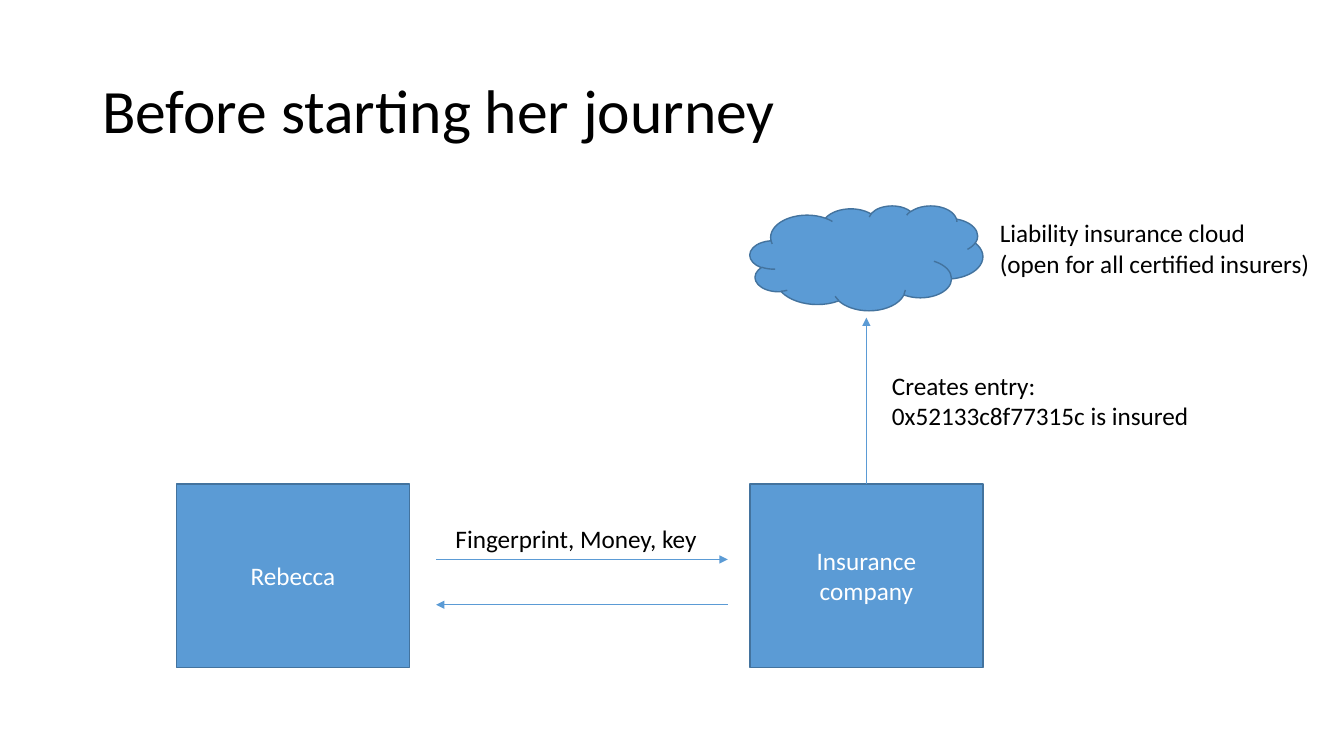
from lxml import etree
from pptx import Presentation
from pptx import util as u
from pptx.dml.color import RGBColor
from pptx.enum import shapes, text
from pptx.oxml.ns import qn

BLUE = RGBColor(0x5B, 0x9B, 0xD5)
OUTLINE = RGBColor(0x43, 0x73, 0x9E)
BLACK = RGBColor(0, 0, 0)
WHITE = RGBColor(0xFF, 0xFF, 0xFF)
FONT = "Calibri"
WIDTH, HEIGHT = u.Inches(13.333), u.Inches(7.5)

# Places and sizes are percentages of the slide's width and height.
REBECCA_X, COMPANY_X = 13.13, 55.8
ACTOR_Y, ACTOR_W, ACTOR_H = 64, 17.33, 24.27
LANE_LEFT, LANE_RIGHT = 32.45, 54.15


def across(share):
    return round(WIDTH * share / 100)


def down(share):
    return round(HEIGHT * share / 100)


def box(left, top, width, height):
    return across(left), down(top), across(width), down(height)


def write(tf, lines, size, color, align, anchor):
    """Fill a frame with one paragraph, its lines split by line breaks."""
    tf.word_wrap = True
    tf.vertical_anchor = anchor
    p = tf.paragraphs[0]
    p.alignment = align
    for i, line in enumerate(lines):
        if i:
            p.add_line_break()
        r = p.add_run()
        r.text = line
        r.font.name = FONT
        r.font.size = u.Pt(size)
        r.font.color.rgb = color
    return p


def add_label(slide, place, *lines, size=18, anchor=text.MSO_ANCHOR.TOP):
    sp = slide.shapes.add_textbox(*box(*place))
    return write(sp.text_frame, lines, size, BLACK, text.PP_ALIGN.LEFT, anchor)


def add_node(slide, kind, place, *lines):
    sp = slide.shapes.add_shape(kind, *box(*place))
    sp.shadow.inherit = False
    sp.fill.solid()
    sp.fill.fore_color.rgb = BLUE
    sp.line.color.rgb = OUTLINE
    sp.line.width = u.Pt(1)
    write(sp.text_frame, lines, 18, WHITE,
          text.PP_ALIGN.CENTER, text.MSO_ANCHOR.MIDDLE)
    return sp


def add_arrow(slide, start, end):
    line = slide.shapes.add_connector(
        shapes.MSO_CONNECTOR.STRAIGHT,
        across(start[0]), down(start[1]), across(end[0]), down(end[1]))
    line.line.color.rgb = BLUE
    line.line.width = u.Pt(0.5)
    ln = line.line._get_or_add_ln()
    etree.SubElement(ln, qn("a:tailEnd"), type="triangle")
    etree.SubElement(line._element.spPr, qn("a:effectLst"))
    return line


def main():
    prs = Presentation()
    prs.slide_width, prs.slide_height = WIDTH, HEIGHT
    slide = prs.slides.add_slide(prs.slide_layouts[6])

    title = add_label(slide, (6.88, 5.33, 86.25, 19.33),
                      "Before starting her journey",
                      size=44, anchor=text.MSO_ANCHOR.MIDDLE)
    title.line_spacing = 0.9

    rect = shapes.MSO_SHAPE.RECTANGLE
    company = add_node(slide, rect, (COMPANY_X, ACTOR_Y, ACTOR_W, ACTOR_H),
                       "Insurance", "company")
    add_node(slide, rect, (REBECCA_X, ACTOR_Y, ACTOR_W, ACTOR_H), "Rebecca")
    add_node(slide, shapes.MSO_SHAPE.CLOUD, (COMPANY_X, 27.2, ACTOR_W, 13.87))

    add_arrow(slide, (LANE_LEFT, 74), (LANE_RIGHT, 74))
    add_arrow(slide, (LANE_RIGHT, 80), (LANE_LEFT, 80))
    middle = COMPANY_X + ACTOR_W / 2
    entry = add_arrow(slide, (middle, ACTOR_Y), (middle, 42))
    entry.begin_connect(company, 0)

    add_label(slide, (33.15, 68.53, 22.58, 5.33), "Fingerprint, Money, key")
    add_label(slide, (65.63, 48.27, 25.73, 9.47),
              "Creates entry: ", "0x52133c8f77315c is insured")
    add_label(slide, (73.65, 28.13, 27.6, 9.47),
              "Liability insurance cloud ", "(open for all certified insurers)")

    prs.save("out.pptx")


if __name__ == "__main__":
    main()
